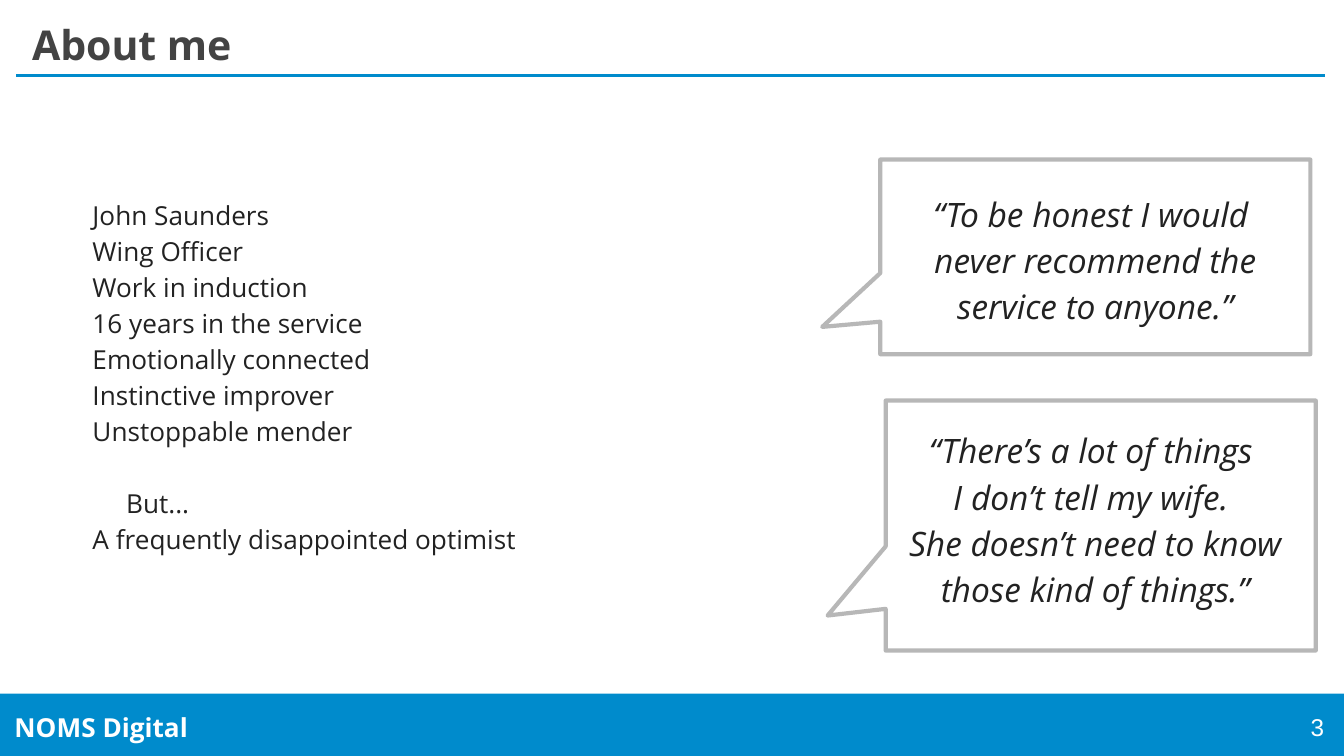
"""Build the "About me" slide with a profile list and two quote callouts."""
import pptx
import pptx.dml.color
import pptx.enum.shapes
import pptx.enum.text
import pptx.oxml
import pptx.oxml.ns
import pptx.util

WIDTH = 10
HEIGHT = WIDTH * 9 / 16
COLOURS = {"blue": "008BCC", "grey": "B7B7B7", "white": "FFFFFF",
           "heading": "434343", "body": "222222"}
ALIGN = pptx.enum.text.PP_ALIGN
TOP = pptx.enum.text.MSO_ANCHOR.TOP
MIDDLE = pptx.enum.text.MSO_ANCHOR.MIDDLE
SHAPES = pptx.enum.shapes.MSO_SHAPE

RULE = (1.2, 9.96, 97.4, 0)
BAR = (0, 91.75, 100, 8.25)
LABELS = [
    ("NOMS Digital", (0.1, 92.27, 20.6, 7.82),
     {"size": 14, "colour_name": "white", "bold": True}, {}),
    ("3", (96.4, 92.62, 3.1, 7.11),
     {"size": 13, "colour_name": "white", "font": "Arial"},
     {"align": ALIGN.RIGHT, "anchor": MIDDLE}),
    ("About me", (1.4, 0.78, 93.4, 9.96),
     {"size": 22, "colour_name": "heading", "bold": True}, {}),
]
PROFILE_BOX = (3.4, 24, 46.4, 54.76)
PROFILE = ["John Saunders", "Wing Officer", "Work in induction",
           "16 years in the service", "Emotionally connected",
           "Instinctive improver", "Unstoppable mender", "But...",
           "A frequently disappointed optimist"]
TURN = "But..."
TURN_GAP = 19.3
QUOTES = [
    {"callout": (65.5, 21.1, 32, 25.75), "box": (65.2, 12.4, 32.6, 43.2),
     "lines": ["“To be honest I would ", "never recommend the service to anyone.”"]},
    {"callout": (65.9, 52.98, 32, 33.07), "box": (64.3, 46.76, 34.4, 43.2),
     "lines": ["“There’s a lot of things ", "I don’t tell my wife. ",
               "She doesn’t need to know those kind of things.”"]},
]
CALLOUT_TAIL = (-0.635, 0.36, 0)


def colour(name):
    return pptx.dml.color.RGBColor.from_string(COLOURS[name])


def place(area):
    return [pptx.util.Inches(share * side / 100)
            for share, side in zip(area, (WIDTH, HEIGHT) * 2)]


def add_panel(slide, kind, area, fill, line=None):
    shape = slide.shapes.add_shape(kind, *place(area))
    shape.shadow.inherit = False
    shape.fill.solid()
    shape.fill.fore_color.rgb = colour(fill)
    if line:
        shape.line.color.rgb = colour(line)
        shape.line.width = pptx.util.Pt(2.25)
    else:
        shape.line.fill.background()
    return shape


def add_rule(slide, area):
    left, top, width, height = place(area)
    rule = slide.shapes.add_connector(pptx.enum.shapes.MSO_CONNECTOR.STRAIGHT,
                                      left, top, left + width, top + height)
    rule.line.color.rgb = colour("blue")
    rule.line.width = pptx.util.Pt(1.5)
    properties = rule.element.find(pptx.oxml.ns.qn("p:spPr"))
    properties.append(pptx.oxml.parse_xml(f'<a:effectLst {pptx.oxml.ns.nsdecls("a")}/>'))


def add_text_frame(slide, area, anchor=TOP):
    frame = slide.shapes.add_textbox(*place(area)).text_frame
    frame.word_wrap = True
    frame.vertical_anchor = anchor
    frame.margin_left = frame.margin_right = pptx.util.Inches(0.1)
    frame.margin_top = frame.margin_bottom = pptx.util.Inches(0.1)
    return frame


def add_run(paragraph, text, size, colour_name="body", font="Open Sans", bold=False, italic=False):
    run = paragraph.add_run()
    run.text = text
    run.font.name = font
    run.font.size = pptx.util.Pt(size)
    run.font.color.rgb = colour(colour_name)
    run.font.bold = bold
    run.font.italic = italic


def add_label(slide, text, area, style, layout):
    paragraph = add_text_frame(slide, area, layout.get("anchor", TOP)).paragraphs[0]
    paragraph.alignment = layout.get("align", ALIGN.LEFT)
    add_run(paragraph, text, **style)


def add_profile(slide):
    frame = add_text_frame(slide, PROFILE_BOX)
    for index, text in enumerate(PROFILE):
        paragraph = frame.add_paragraph() if index else frame.paragraphs[0]
        paragraph.line_spacing = 1.15
        if text == TURN:
            paragraph.space_before = pptx.util.Pt(TURN_GAP)
        properties = paragraph._p.get_or_add_pPr()
        properties.set("marL", str(pptx.util.Inches(0.5)))
        properties.set("indent", str(pptx.util.Inches(0 if text == TURN else -0.25)))
        add_run(paragraph, text, 14)


def add_quote(slide, quote):
    paragraph = add_text_frame(slide, quote["box"], MIDDLE).paragraphs[0]
    paragraph.alignment = ALIGN.CENTER
    paragraph.line_spacing = 1.15
    for index, line in enumerate(quote["lines"]):
        if index:
            paragraph.add_line_break()
        add_run(paragraph, line, 18, italic=True)


def main():
    presentation = pptx.Presentation()
    presentation.slide_width = pptx.util.Inches(WIDTH)
    presentation.slide_height = pptx.util.Inches(HEIGHT)
    slide = presentation.slides.add_slide(presentation.slide_layouts[6])
    add_rule(slide, RULE)
    add_panel(slide, SHAPES.RECTANGLE, BAR, "blue")
    for quote in reversed(QUOTES):
        callout = add_panel(slide, SHAPES.ROUNDED_RECTANGULAR_CALLOUT,
                            quote["callout"], "white", "grey")
        for index, value in enumerate(CALLOUT_TAIL):
            callout.adjustments[index] = value
    for label in LABELS:
        add_label(slide, *label)
    add_profile(slide)
    for quote in QUOTES:
        add_quote(slide, quote)
    presentation.save("out.pptx")


if __name__ == "__main__":
    main()
